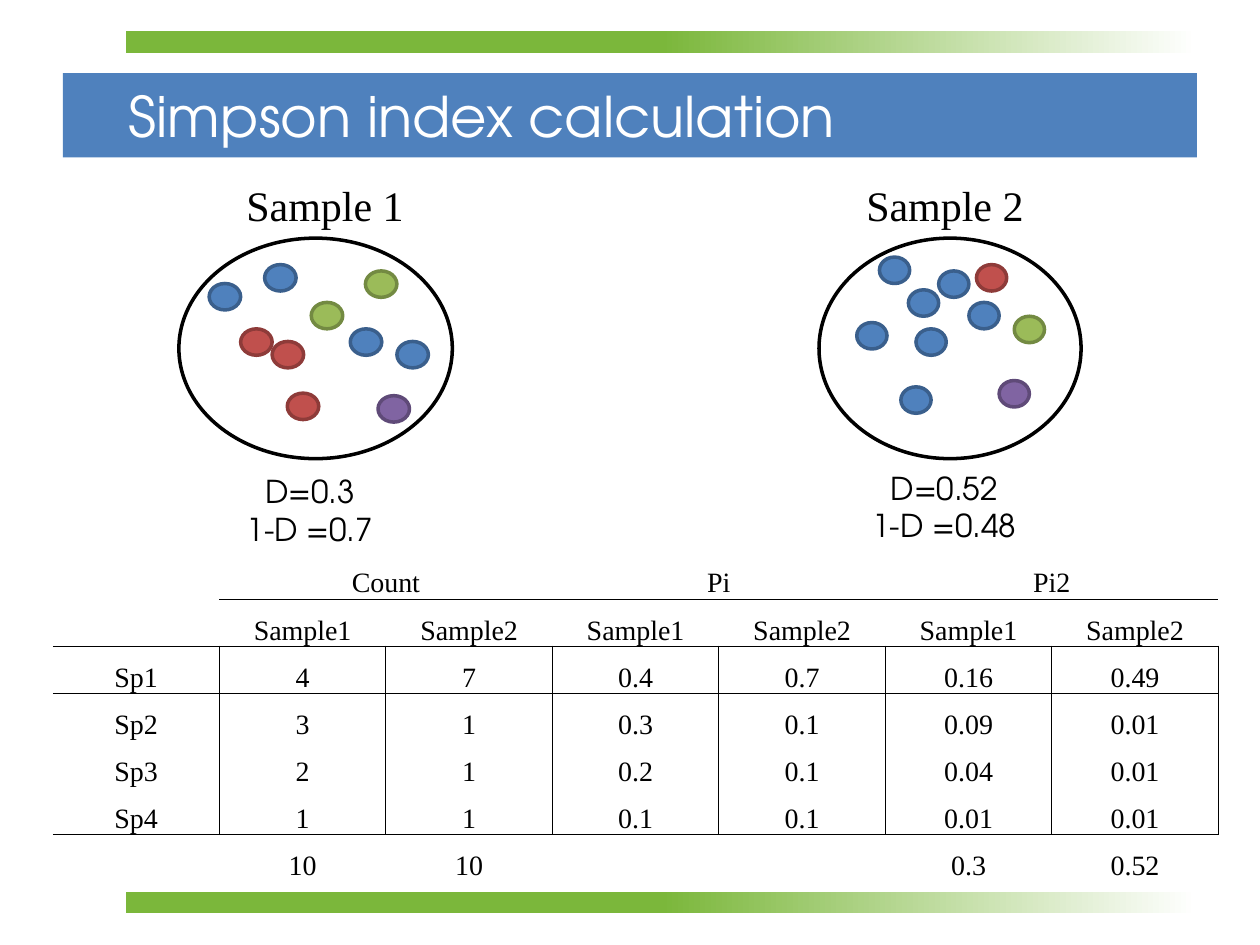
from lxml import etree
from pptx import Presentation
from pptx.dml.color import RGBColor
from pptx.enum import shapes, text
from pptx.oxml.ns import qn
from pptx.util import Inches, Pt

COLORS = {"black": "000000", "white": "FFFFFF", "bar": "7BB73B",
          "blue": "4F81BD", "blue_line": "3A5F8C",
          "green": "9BBB59", "green_line": "738A42",
          "red": "C0504D", "red_line": "8E3B39",
          "purple": "8064A2", "purple_line": "5F4A78"}
SANS, SERIF = "TeX Gyre Adventor", "Times New Roman"
PLAIN_STYLE = "{2D5ABB26-0587-4C30-8999-92F81FD0307C}"


def rgb(name):
    return RGBColor.from_string(COLORS[name])


def style(p, size, font, color="black", align=text.PP_ALIGN.CENTER):
    """Set the look of one paragraph."""
    p.alignment = align
    p.font.size, p.font.name = Pt(size), font
    p.font.color.rgb = rgb(color)


prs = Presentation()
prs.slide_width, prs.slide_height = Inches(10), Inches(7.5)
s = prs.slides.add_slide(prs.slide_layouts[6])

# Title band and fading bars
band = s.shapes.add_shape(shapes.MSO_SHAPE.RECTANGLE, Inches(0.5), Inches(0.58),
                          Inches(9), Inches(0.67))
band.shadow.inherit = False
band.fill.solid()
band.fill.fore_color.rgb = rgb("blue")
band.line.fill.background()

for top in (0.25, 7.08):
    bar = s.shapes.add_shape(shapes.MSO_SHAPE.RECTANGLE, Inches(1), Inches(top),
                             Inches(8.5), Inches(0.17))
    bar.shadow.inherit = False
    bar.line.fill.background()
    bar.fill.gradient()
    bar.fill.gradient_angle = 0
    for stop, position, color in zip(bar.fill.gradient_stops, (0.5, 1), ("bar", "white")):
        stop.position = position
        stop.color.rgb = rgb(color)

# Sample dishes: large ellipse (left, width), dot width, dots (left, top, colour)
dishes = [
    (1.42, 2.17, 0.25, [
        (2.1, 2.1, "blue"), (2.78, 2.61, "blue"), (2.47, 2.4, "green"),
        (3, 3.14, "purple"), (2.28, 3.12, "red"), (3.15, 2.71, "blue"),
        (2.9, 2.15, "green"), (1.91, 2.61, "red"), (1.66, 2.25, "blue"),
        (2.16, 2.71, "red")]),
    (6.5, 2.08, 0.24, [
        (6.98, 2.04, "blue"), (7.69, 2.4, "blue"), (7.27, 2.61, "blue"),
        (7.93, 3.02, "purple"), (7.15, 3.07, "blue"), (8.05, 2.51, "green"),
        (7.75, 2.1, "red"), (6.8, 2.56, "blue"), (7.21, 2.3, "blue"),
        (7.45, 2.15, "blue")]),
]
for left, width, dot_width, dots in dishes:
    group = s.shapes.add_group_shape()
    ellipses = [(left, 1.89, width, 1.75, "white", "black")]
    ellipses += [(x, y, dot_width, 0.21, c, c + "_line") for x, y, c in dots]
    for x, y, w, h, fill, line in ellipses:
        sp = group.shapes.add_shape(shapes.MSO_SHAPE.OVAL, Inches(x), Inches(y),
                                    Inches(w), Inches(h))
        sp.shadow.inherit = False
        sp.fill.solid()
        sp.fill.fore_color.rgb = rgb(fill)
        sp.line.color.rgb = rgb(line)
        sp.line.width = Pt(2)

# Tables: left, top, width, height, font size, side inset, rows
index_rows = [
    ["", "Count", "", "Pi", "", "Pi2", ""],
    [""] + ["Sample1", "Sample2"] * 3,
    ["Sp1", "4", "7", "0.4", "0.7", "0.16", "0.49"],
    ["Sp2", "3", "1", "0.3", "0.1", "0.09", "0.01"],
    ["Sp3", "2", "1", "0.2", "0.1", "0.04", "0.01"],
    ["Sp4", "1", "1", "0.1", "0.1", "0.01", "0.01"],
    ["", "10", "10", "", "", "0.3", "0.52"],
]
tables = [
    (0.42, 4.38, 9.25, 2.62, 16, 0, index_rows),
    (1.58, 1.42, 2, 0.41, 24, 0.01, [["Sample 1"]]),
    (6.5, 1.42, 2, 0.41, 24, 0.01, [["Sample 2"]]),
]
for left, top, width, height, size, inset, rows in tables:
    table = s.shapes.add_table(len(rows), len(rows[0]), Inches(left), Inches(top),
                               Inches(width), Inches(height)).table
    table.first_row = table.horz_banding = False
    table._tbl.tblPr.find(qn("a:tableStyleId")).text = PLAIN_STYLE
    for i, row in enumerate(rows):
        for j, value in enumerate(row):
            cell = table.cell(i, j)
            cell.margin_left = cell.margin_right = cell.margin_top = Inches(inset)
            cell.margin_bottom = 0
            cell.vertical_anchor = text.MSO_ANCHOR.BOTTOM
            cell.text = value
            style(cell.text_frame.paragraphs[0], size, SERIF)
            if rows is index_rows:
                in_body = 2 <= i <= 5
                edges = {"lnL": in_body and j % 2 == 1,
                         "lnR": in_body and j % 2 == 0,
                         "lnT": i in (2, 6) or (i == 1 and j > 0),
                         "lnB": i in (1, 5) or (i == 0 and j > 0)}
                for tag in (tag for tag, drawn in edges.items() if drawn):
                    ln = etree.SubElement(cell._tc.get_or_add_tcPr(), qn("a:" + tag),
                                          w=str(Pt(0.5)))
                    fill = etree.SubElement(ln, qn("a:solidFill"))
                    etree.SubElement(fill, qn("a:srgbClr"), val=COLORS["black"])
            cell.fill.background()
    if rows is index_rows:
        for j in (1, 3, 5):
            table.cell(0, j).merge(table.cell(0, j + 1))

# Index values and title: left, top, width, height, lines, size, colour, alignment
center, start = text.PP_ALIGN.CENTER, text.PP_ALIGN.LEFT
boxes = [
    (1.67, 3.7, 1.58, 0.71, ["D=0.3", "1-D =0.7"], 18, "black", center),
    (6.33, 3.67, 2.33, 0.71, ["D=0.52", "1-D =0.48"], 18, "black", center),
    (0.92, 0.58, 8.58, 0.67, ["Simpson index calculation"], 32, "white", start),
]
for left, top, width, height, lines, size, color, align in boxes:
    tf = s.shapes.add_textbox(Inches(left), Inches(top), Inches(width),
                              Inches(height)).text_frame
    tf.word_wrap = True
    tf.vertical_anchor = text.MSO_ANCHOR.MIDDLE if align == start else text.MSO_ANCHOR.TOP
    tf.text = "\n".join(lines)
    for p in tf.paragraphs:
        style(p, size, SANS, color, align)

prs.save("out.pptx")
